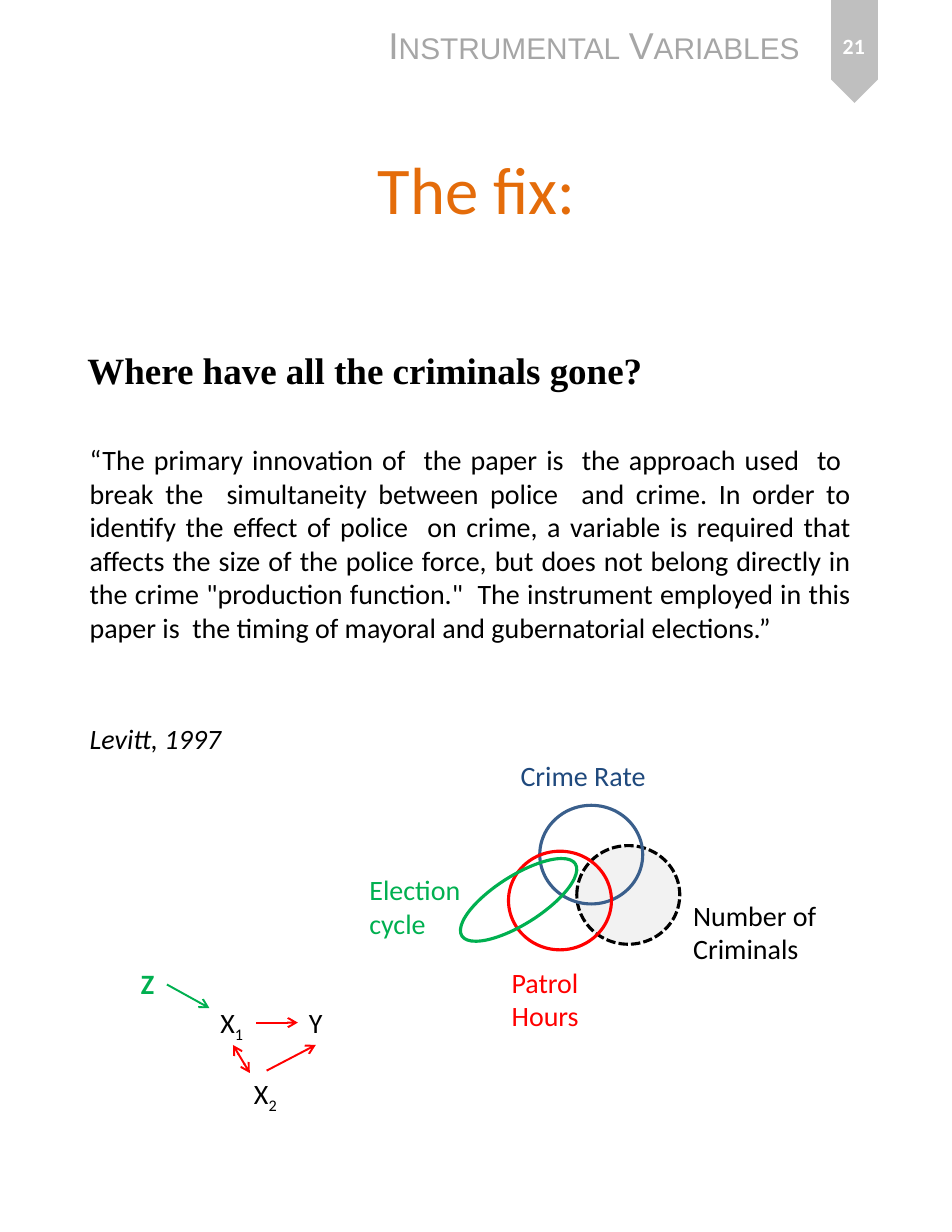
from dataclasses import dataclass

from pptx import Presentation
from pptx.dml.color import RGBColor
from pptx.enum.dml import MSO_LINE
from pptx.enum.shapes import MSO_CONNECTOR, MSO_SHAPE
from pptx.enum.text import MSO_ANCHOR, MSO_AUTO_SIZE, PP_ALIGN
from pptx.oxml.ns import qn
from pptx.util import Pt
from lxml import etree

STRAIGHT = MSO_CONNECTOR.STRAIGHT
OVAL, PENTAGON = MSO_SHAPE.OVAL, MSO_SHAPE.PENTAGON
DASHED = MSO_LINE.SQUARE_DOT
TOP, MIDDLE, BOTTOM = MSO_ANCHOR.TOP, MSO_ANCHOR.MIDDLE, MSO_ANCHOR.BOTTOM
LEFT, CENTER, JUSTIFY = PP_ALIGN.LEFT, PP_ALIGN.CENTER, PP_ALIGN.JUSTIFY
FIXED, GROW = MSO_AUTO_SIZE.NONE, MSO_AUTO_SIZE.SHAPE_TO_FIT_TEXT
COMPARISON_LAYOUT = 4

QUOTE = (
    "“The primary innovation of  the paper is  the approach used  to  break the  "
    "simultaneity between police  and crime. In order to identify the effect of police  "
    "on crime, a variable is required that affects the size of the police force, but does "
    "not belong directly in the crime \"production function.\"  The instrument employed in "
    "this paper is  the timing of mayoral and gubernatorial elections.”"
)


@dataclass(frozen=True)
class Theme:
    """Colours, fonts and sizes of the slide."""
    black: str = "000000"
    white: str = "FFFFFF"
    banner: str = "BFBFBF"
    header: str = "A6A6A6"
    orange: str = "E46C0A"
    navy: str = "1F497D"
    blue: str = "3A5F8C"
    red: str = "FF0000"
    green: str = "00B050"
    pale: str = "F2F2F2"
    body_font: str = "Calibri"
    header_font: str = "Arial"
    heading_font: str = "Times New Roman"
    title_size: float = 42.9
    header_size: float = 24
    heading_size: float = 23.8
    body_size: float = 18
    number_size: float = 14
    outline: float = 2
    arrow: float = 1.25


THEME = Theme()


def place(shape, left, top, width, height):
    """Move and size a shape, in points."""
    shape.left, shape.top = Pt(left), Pt(top)
    shape.width, shape.height = Pt(width), Pt(height)


def write_text(shape, text, *, color=THEME.black, size=THEME.body_size, font=THEME.body_font,
               bold=False, italic=False, align=LEFT, anchor=TOP, before=0, wrap=True,
               auto_size=FIXED, small_caps=False, subscript=""):
    """Add one formatted paragraph to a shape."""
    frame = shape.text_frame
    frame.word_wrap, frame.auto_size, frame.vertical_anchor = wrap, auto_size, anchor
    paragraph = frame.add_paragraph() if frame.text else frame.paragraphs[0]
    paragraph.text = text
    paragraph.alignment, paragraph.space_before = align, Pt(before)
    if subscript:
        paragraph.add_run().text = subscript
    for run in paragraph.runs:
        run.font.name, run.font.size = font, Pt(size)
        run.font.bold, run.font.italic = bold, italic
        run.font.color.rgb = RGBColor.from_string(color)
        if small_caps:
            run.font._element.set("cap", "small")
    if subscript:
        paragraph.runs[-1].font._element.set("baseline", "-25000")


def add_label(slide, box, text, **style):
    """Add a text box with one paragraph."""
    shape = slide.shapes.add_textbox(*map(Pt, box))
    write_text(shape, text, **style)


def add_filled_shape(slide, kind, box, fill=None, line=None, dash=None, rotation=0):
    """Add a preset shape with optional fill and outline."""
    shape = slide.shapes.add_shape(kind, *map(Pt, box))
    shape.shadow.inherit = False
    shape.rotation = rotation
    if fill:
        shape.fill.solid()
        shape.fill.fore_color.rgb = RGBColor.from_string(fill)
    else:
        shape.fill.background()
    if line:
        shape.line.color.rgb = RGBColor.from_string(line)
        shape.line.width = Pt(THEME.outline)
    else:
        shape.line.fill.background()
    if dash:
        shape.line.dash_style = dash


def add_arrow(slide, start, end, color, ends=("tailEnd",)):
    """Add a straight line with open arrowheads."""
    connector = slide.shapes.add_connector(STRAIGHT, *map(Pt, (*start, *end)))
    connector.line.color.rgb = RGBColor.from_string(color)
    connector.line.width = Pt(THEME.arrow)
    line = connector.line._get_or_add_ln()
    for end_name in ends:
        etree.SubElement(line, qn(f"a:{end_name}"), type="arrow")
    etree.SubElement(connector._element.spPr, qn("a:effectLst"))


def build_header(slide, left, top):
    """Place the running header and the page number banner."""
    add_filled_shape(slide, PENTAGON, (left + 273.6, top + 7.2, 66.2, 30.2),
                     fill=THEME.banner, rotation=90)
    add_label(slide, (left, top, 280, 36), "Instrumental Variables", color=THEME.header,
              size=THEME.header_size, font=THEME.header_font, small_caps=True,
              wrap=False, auto_size=GROW)
    add_label(slide, (left + 282.2, top - 2.9, 48.2, 42.5), "21", color=THEME.white,
              size=THEME.number_size, bold=True, align=CENTER, anchor=MIDDLE)


def build_text(slide, left, top):
    """Fill the title, heading and quotation placeholders."""
    holders = {holder.placeholder_format.idx: holder for holder in slide.placeholders}
    title, heading, quotation = holders[0], holders[1], holders[3]
    for index in (2, 4):
        unused = holders[index]._element
        unused.getparent().remove(unused)
    place(title, left, top, 550.8, 131.8)
    write_text(title, "The fix:", color=THEME.orange, size=THEME.title_size, align=CENTER)
    place(heading, left + 18, top + 49.7, 519.1, 114.5)
    write_text(heading, "Where have all the criminals gone?", size=THEME.heading_size,
               font=THEME.heading_font, bold=True, anchor=BOTTOM)
    place(quotation, left + 19.4, top + 189.4, 504, 212)
    write_text(quotation, QUOTE, align=JUSTIFY)
    write_text(quotation, "Levitt, 1997", italic=True, align=JUSTIFY, before=50)


def build_venn(slide, left, top):
    """Draw the overlapping circles and their labels."""
    circles = (
        (140.8, 59.6, THEME.black, THEME.pale, DASHED),
        (117, 33.7, THEME.blue, None, None),
        (96.9, 63.2, THEME.red, None, None),
    )
    for x, y, color, fill, dash in circles:
        add_filled_shape(slide, OVAL, (left + x, top + y, 66.2, 63.4), fill, color, dash)
    add_filled_shape(slide, OVAL, (left + 60.2, top + 79, 86.4, 31),
                     line=THEME.green, rotation=327.6)
    labels = (
        (97.6, 0, 100.8, 28.8, "Crime Rate", THEME.navy),
        (91.8, 133, 59, 51.1, "Patrol Hours", THEME.red),
        (208.5, 89.8, 102.2, 51.1, "Number of\nCriminals", THEME.black),
        (0.4, 73.3, 82.1, 51.1, "Election cycle", THEME.green),
    )
    for x, y, width, height, text, color in labels:
        add_label(slide, (left + x, top + y, width, height), text, color=color, auto_size=GROW)


def build_causal_graph(slide, left, top):
    """Draw the variables and the arrows between them."""
    nodes = (
        (0, 0, 23, "Z", "", THEME.green),
        (51.1, 25.2, 30.2, "X", "1", THEME.black),
        (108, 25.2, 23, "Y", "", THEME.black),
        (72.7, 70.5, 30.2, "X", "2", THEME.black),
    )
    for x, y, width, text, subscript, color in nodes:
        add_label(slide, (left + x, top + y, width, 28.8), text, subscript=subscript,
                  color=color, bold=text == "Z", wrap=False, auto_size=GROW)
    arrows = (
        (23.8, 15.1, 51.1, 30.2, THEME.green, ("tailEnd",)),
        (81.4, 39.6, 108, 39.6, THEME.red, ("tailEnd",)),
        (87.9, 70.5, 119.5, 54, THEME.red, ("tailEnd",)),
        (66.3, 54, 77.1, 72, THEME.red, ("headEnd", "tailEnd")),
    )
    for x1, y1, x2, y2, color, ends in arrows:
        add_arrow(slide, (left + x1, top + y1), (left + x2, top + y2), color, ends)


def main():
    """Build and save the one-slide presentation."""
    presentation = Presentation()
    presentation.slide_width, presentation.slide_height = Pt(612), Pt(792)
    slide = presentation.slides.add_slide(presentation.slide_layouts[COMPARISON_LAYOUT])
    build_header(slide, 242.6, 10.8)
    build_text(slide, 31, 91.4)
    build_venn(slide, 230, 484)
    build_causal_graph(slide, 83.5, 617.8)
    presentation.save("out.pptx")


if __name__ == "__main__":
    main()
